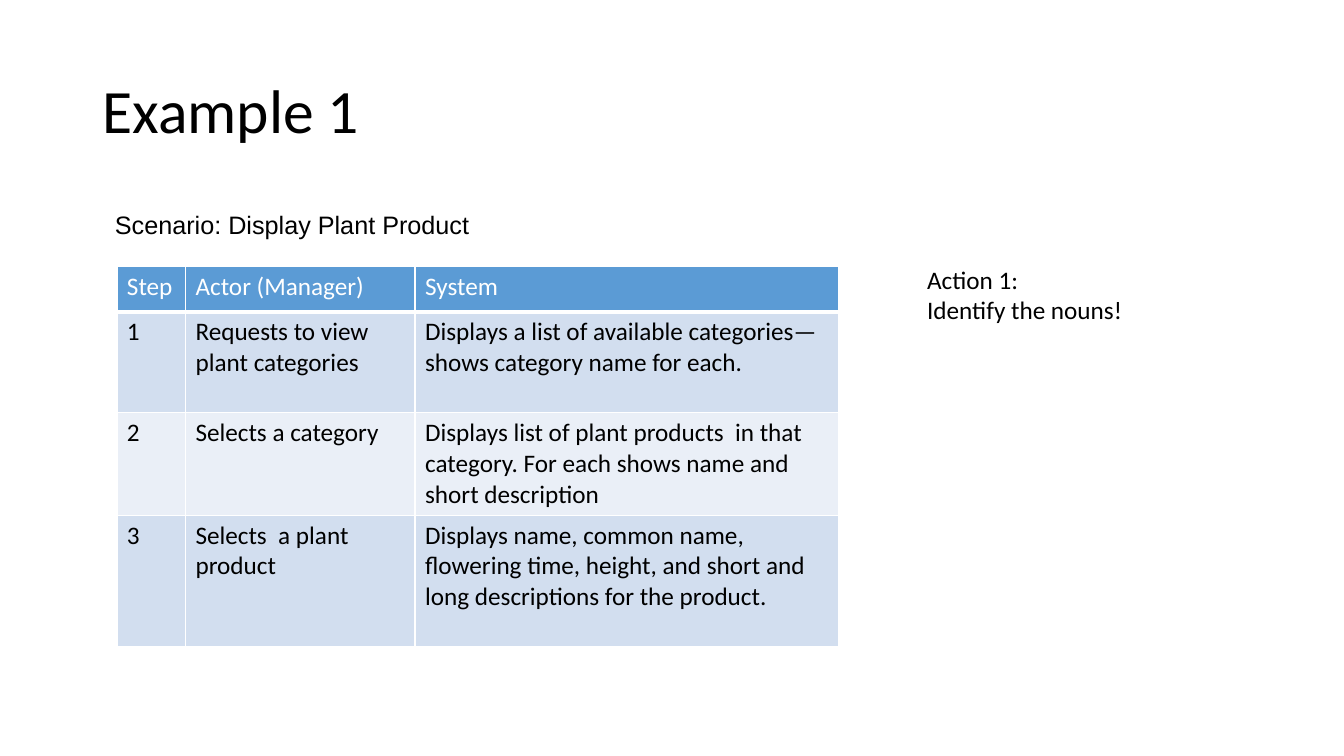
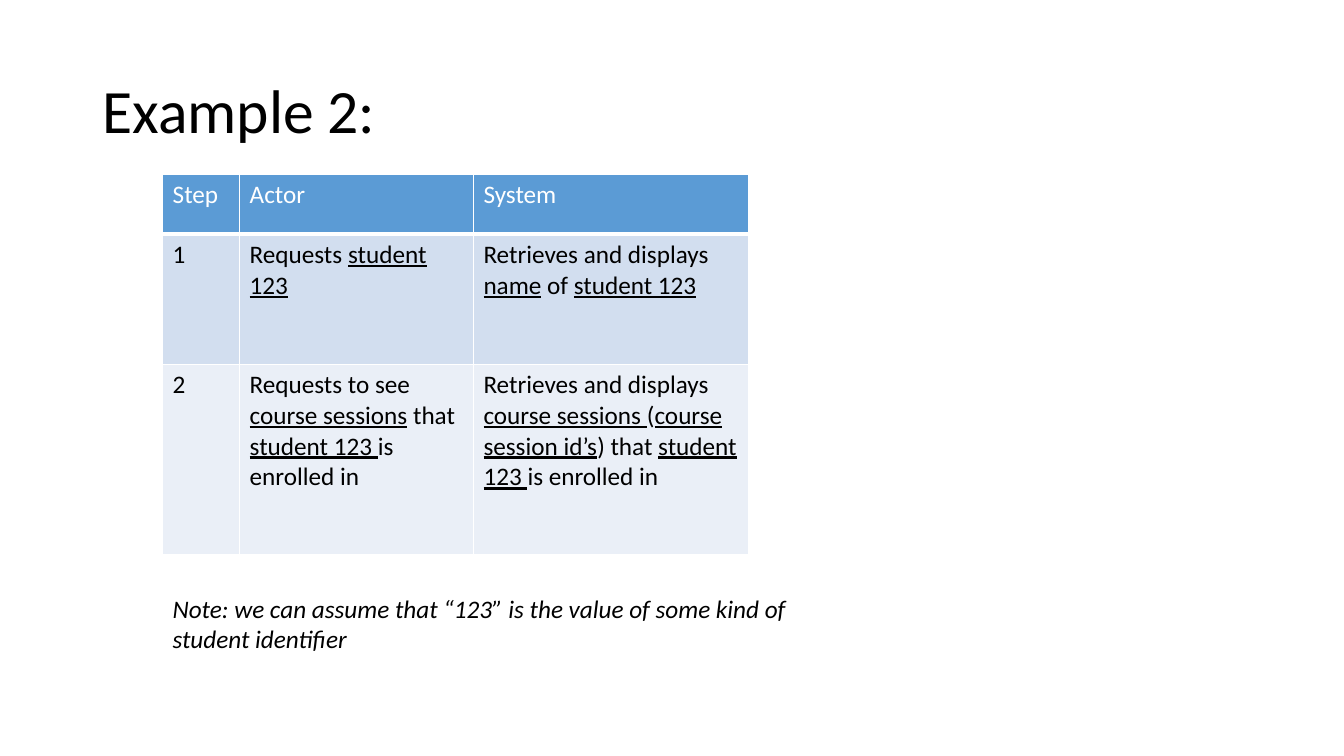
from lxml import etree
from pptx import Presentation
from pptx.dml.color import RGBColor
from pptx.enum import text as t
from pptx.oxml import ns
from pptx.util import Pt

COLORS = {
    "ink": "000000",
    "paper": "FFFFFF",
    "header": "5B9BD5",
    "band_dark": "D2DEEF",
    "band_light": "EAEFF7",
}
BODY_FONT = "Calibri"
TITLE_BOX = (66, 29, 828, 104.4)
TITLE_ONLY = 5


def rgb(name):
    return RGBColor.from_string(COLORS[name])


def style(font, size=18, color="ink", face=BODY_FONT):
    font.name = face
    font.size = Pt(size)
    font.bold = False
    font.color.rgb = rgb(color)


def add_titled_slide(deck, heading):
    slide = deck.slides.add_slide(deck.slide_layouts[TITLE_ONLY])
    title = slide.shapes.title
    title.left, title.top, title.width, title.height = map(Pt, TITLE_BOX)
    frame = title.text_frame
    frame.text = heading
    frame.auto_size = t.MSO_AUTO_SIZE.NONE
    frame.vertical_anchor = t.MSO_ANCHOR.MIDDLE
    line = frame.paragraphs[0]
    line.alignment = t.PP_ALIGN.LEFT
    line.line_spacing = 0.9
    style(line.runs[0].font, 44)
    return slide


def add_remark(slide, box, wording, face=BODY_FONT, italic=False, wrap=True):
    remark = slide.shapes.add_textbox(*map(Pt, box))
    frame = remark.text_frame
    frame.text = wording
    frame.word_wrap = wrap
    frame.auto_size = t.MSO_AUTO_SIZE.SHAPE_TO_FIT_TEXT
    for line in frame.paragraphs:
        for run in line.runs:
            style(run.font, face=face)
            run.font.italic = italic


def set_borders(cell, bottom):
    properties = cell._tc.get_or_add_tcPr()
    for side, width in (("L", 1), ("R", 1), ("T", 1), ("B", bottom)):
        edge = etree.SubElement(properties, ns.qn("a:ln" + side), w=str(Pt(width)))
        fill = etree.SubElement(edge, ns.qn("a:solidFill"))
        etree.SubElement(fill, ns.qn("a:srgbClr"), val=COLORS["paper"])


def fill_cell(cell, wording, fill, color, bottom):
    set_borders(cell, bottom)
    cell.fill.solid()
    cell.fill.fore_color.rgb = rgb(fill)
    line = cell.text_frame.paragraphs[0]
    for position, part in enumerate(wording.split("_")):
        if part:
            run = line.add_run()
            run.text = part
            style(run.font, color=color)
            if position % 2:
                run.font.underline = True


def add_scenario(slide, corner, widths, heights, steps):
    box = (*corner, sum(widths), sum(heights))
    scenario = slide.shapes.add_table(len(heights), len(widths), *map(Pt, box)).table
    for column, width in zip(scenario.columns, widths):
        column.width = Pt(width)
    for row, height in zip(scenario.rows, heights):
        row.height = Pt(height)
    for index, step in enumerate(steps):
        if index == 0:
            look = ("header", "paper", 3)
        else:
            look = ("band_dark" if index % 2 else "band_light", "ink", 1)
        for column, wording in enumerate(step):
            fill_cell(scenario.cell(index, column), wording, *look)


def build_plant_example(deck):
    slide = add_titled_slide(deck, "Example 1")
    add_scenario(slide, (83.5, 190.4), (49, 164, 302.4), (32.4, 72, 72, 93.6), [
        ("Step", "Actor (Manager)", "System"),
        ("1", "Requests to view plant categories",
         "Displays a list of available categories—shows category name for each."),
        ("2", "Selects a category",
         "Displays list of plant products  in that category. "
         "For each shows name and short description"),
        ("3", "Selects  a plant product",
         "Displays name, common name, flowering time, height, "
         "and short and long descriptions for the product."),
    ])
    add_remark(slide, (75, 146.2, 504, 51), "Scenario: Display Plant Product", face="Arial")
    add_remark(slide, (655.2, 185, 155.5, 51), "Action 1:\nIdentify the nouns!", wrap=False)


def build_student_example(deck):
    slide = add_titled_slide(deck, "Example 2:")
    add_scenario(slide, (116.2, 124.8), (55, 167, 196.5), (42.6, 93, 136), [
        ("Step", "Actor", "System"),
        ("1", "Requests _student 123_",
         "Retrieves and displays _name_ of _student 123_"),
        ("2", "Requests to see _course sessions_ that _student 123 _is enrolled in",
         "Retrieves and displays _course sessions _(_course session id’s_) that "
         "_student 123 _is enrolled in"),
    ])
    add_remark(slide, (116.2, 420, 486.7, 51),
               "Note: we can assume that “123” is the value of some kind of student identifier",
               italic=True)


def main():
    deck = Presentation()
    deck.slide_width, deck.slide_height = Pt(960), Pt(540)
    build_plant_example(deck)
    build_student_example(deck)
    deck.save("out.pptx")


if __name__ == "__main__":
    main()
